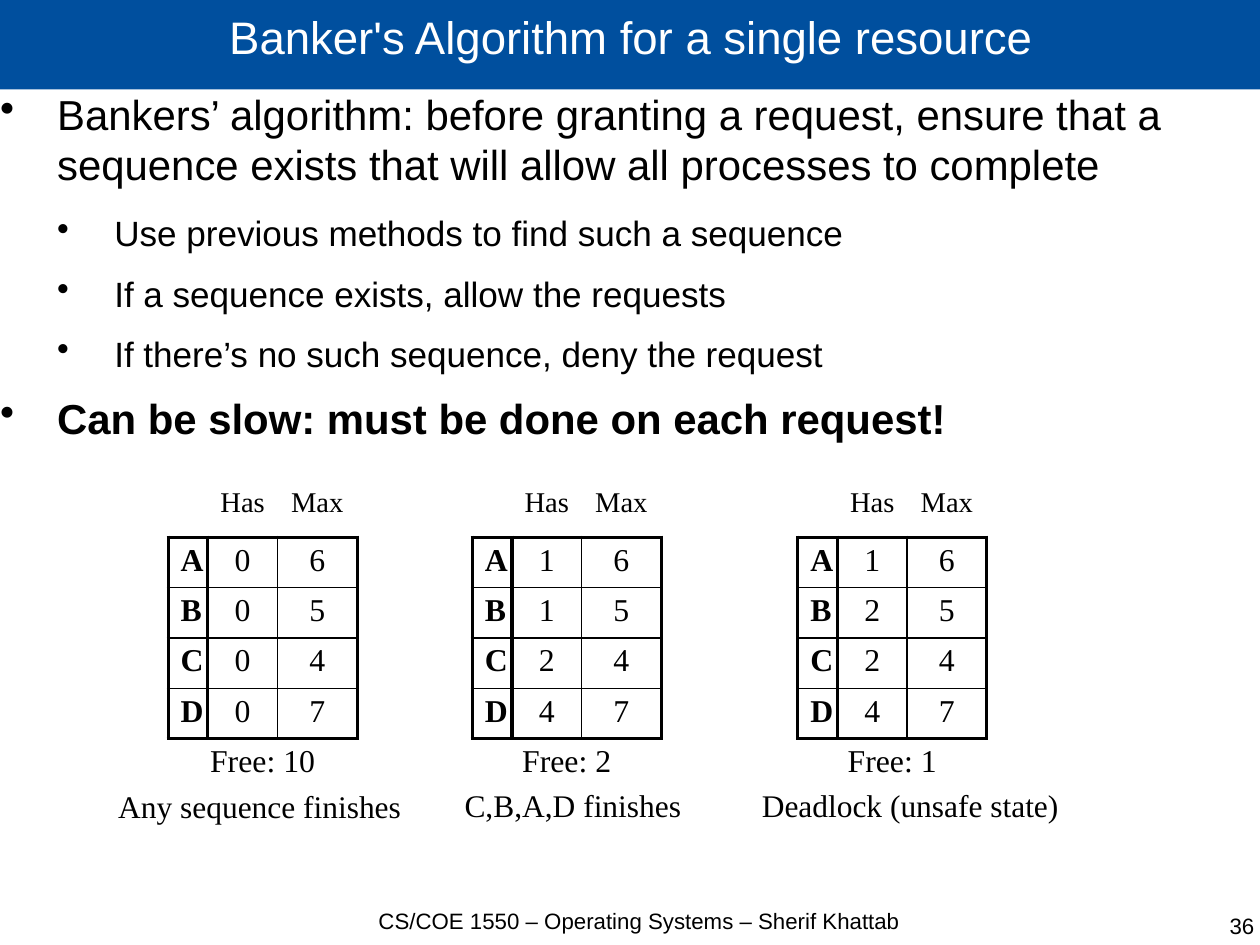
from dataclasses import dataclass

from lxml import etree
from pptx import Presentation
from pptx.dml.color import RGBColor
from pptx.enum.shapes import MSO_SHAPE
from pptx.enum.text import MSO_ANCHOR, MSO_AUTO_SIZE, PP_ALIGN
from pptx.oxml.ns import qn
from pptx.util import Cm, Inches, Pt

RECTANGLE = MSO_SHAPE.RECTANGLE
MIDDLE = MSO_ANCHOR.MIDDLE
FIT_SHAPE = MSO_AUTO_SIZE.SHAPE_TO_FIT_TEXT
LEFT, CENTER, RIGHT = PP_ALIGN.LEFT, PP_ALIGN.CENTER, PP_ALIGN.RIGHT

COLORS = {"banner": "004F9E", "title": "FFFFFF", "ink": "000000"}
SANS, SERIF = "Arial", "Times New Roman"
SLIDE_WIDTH, SLIDE_HEIGHT = Cm(28), Cm(21)

TABLE_TOP, ROW_HEIGHT = 51.51, 5.33
COLUMN_WIDTHS = (3.16, 5.52, 6.33)
THICK, THIN, NONE = 2.25, 1, 0
ROW_EDGES = (NONE, THICK, THIN, THIN, THIN, THICK, NONE)
COLUMN_EDGES = (THICK, THICK, THIN, THICK)
PROCESSES = ("A", "B", "C", "D")
MAX_NEEDS = (6, 5, 4, 7)


@dataclass
class Area:
    left: float
    top: float
    width: float
    height: float

    def emu(self) -> tuple[int, int, int, int]:
        return across(self.left), down(self.top), across(self.width), down(self.height)


@dataclass
class Bullet:
    text: str
    level: int = 0
    bold: bool = False


@dataclass
class BulletStyle:
    size: float
    space_after: float


@dataclass
class Footer:
    text: str
    area: Area
    align: PP_ALIGN


@dataclass
class State:
    left: float
    has: tuple[int, ...]
    free: int
    verdict: str
    verdict_area: Area


BULLETS = (
    Bullet("Bankers’ algorithm: before granting a request, ensure that a "
           "sequence exists that will allow all processes to complete"),
    Bullet("Use previous methods to find such a sequence", level=1),
    Bullet("If a sequence exists, allow the requests", level=1),
    Bullet("If there’s no such sequence, deny the request", level=1),
    Bullet("Can be slow: must be done on each request!", bold=True),
)
BULLET_STYLES = (BulletStyle(26.4, 14.2), BulletStyle(22.1, 11.4))
FOOTERS = (
    Footer("CS/COE 1550 – Operating Systems – Sherif Khattab",
           Area(27.86, 95.97, 45.74, 6.65), CENTER),
    Footer("36", Area(76.59, 96.57, 22.96, 6.65), RIGHT),
)
STATES = (
    State(13.34, (0, 0, 0, 0), 10, "Any sequence finishes", Area(8.35, 82.71, 24.5, 5.2)),
    State(37.48, (1, 1, 2, 4), 2, "C,B,A,D finishes", Area(35.84, 82.59, 19.24, 5.2)),
    State(63.31, (1, 2, 2, 4), 1, "Deadlock (unsafe state)", Area(59.44, 82.59, 25.59, 5.2)),
)


def across(percent: float) -> int:
    return round(SLIDE_WIDTH * percent / 100)


def down(percent: float) -> int:
    return round(SLIDE_HEIGHT * percent / 100)


def style(paragraph, size: float, font: str, align=CENTER, color="ink", bold=False) -> None:
    paragraph.alignment = align
    for run in paragraph.runs:
        run.font.size = Pt(size)
        run.font.name = font
        run.font.bold = bold
        run.font.color.rgb = RGBColor.from_string(COLORS[color])


def set_margins(owner, horizontal: float, vertical: float) -> None:
    owner.margin_left = owner.margin_right = Inches(horizontal)
    owner.margin_top = owner.margin_bottom = Inches(vertical)


def add_title(slide, text: str) -> None:
    banner = slide.shapes.add_shape(RECTANGLE, *Area(0, -0.24, 100.14, 9.7).emu())
    banner.shadow.inherit = False
    banner.fill.solid()
    banner.fill.fore_color.rgb = RGBColor.from_string(COLORS["banner"])
    banner.line.fill.background()
    frame = banner.text_frame
    frame.text = text
    frame.word_wrap = True
    frame.vertical_anchor = MIDDLE
    set_margins(frame, 0, 0)
    frame.paragraphs[0].line_spacing = 0.69
    style(frame.paragraphs[0], 28.7, SANS, color="title")


def add_bullets(slide, bullets: tuple[Bullet, ...]) -> None:
    frame = slide.shapes.add_textbox(*Area(0, 9.4, 100.14, 86.82).emu()).text_frame
    frame.word_wrap = True
    set_margins(frame, 0, 0)
    frame.text = "\n".join(bullet.text for bullet in bullets)
    for paragraph, bullet in zip(frame.paragraphs, bullets):
        look = BULLET_STYLES[bullet.level]
        paragraph.level = bullet.level
        paragraph.space_after = Pt(look.space_after)
        style(paragraph, look.size, SANS, LEFT, bold=bullet.bold)
        properties = paragraph._p.get_or_add_pPr()
        properties.set("marL", str(Inches(0.5 * (bullet.level + 1))))
        properties.set("indent", str(Inches(-0.5)))
        etree.SubElement(properties, qn("a:buChar"), char="•")


def add_footer(slide, footer: Footer) -> None:
    frame = slide.shapes.add_textbox(*footer.area.emu()).text_frame
    frame.word_wrap = True
    set_margins(frame, 0, 0)
    frame.text = footer.text
    style(frame.paragraphs[0], 14, SANS, footer.align)


def set_borders(cell, row: int, column: int) -> None:
    boxed = 0 < row <= len(PROCESSES)
    weights = {
        "a:lnL": COLUMN_EDGES[column] if boxed else NONE,
        "a:lnR": COLUMN_EDGES[column + 1] if boxed else NONE,
        "a:lnT": ROW_EDGES[row],
        "a:lnB": ROW_EDGES[row + 1],
    }
    properties = cell._tc.get_or_add_tcPr()
    for position, (tag, weight) in enumerate(weights.items()):
        edge = etree.Element(qn(tag), w=str(Pt(weight)))
        if weight:
            fill = etree.SubElement(edge, qn("a:solidFill"))
            etree.SubElement(fill, qn("a:srgbClr"), val=COLORS["ink"])
        else:
            etree.SubElement(edge, qn("a:noFill"))
        properties.insert(position, edge)


def add_state(slide, state: State) -> None:
    rows = [("", "Has", "Max"), *zip(PROCESSES, state.has, MAX_NEEDS),
            (f"Free: {state.free}", "", "")]
    area = Area(state.left, TABLE_TOP, sum(COLUMN_WIDTHS), ROW_HEIGHT * len(rows))
    table = slide.shapes.add_table(len(rows), len(COLUMN_WIDTHS), *area.emu()).table
    table.first_row = table.horz_banding = False
    for column, width in zip(table.columns, COLUMN_WIDTHS):
        column.width = across(width)
    for r, values in enumerate(rows):
        table.rows[r].height = down(ROW_HEIGHT)
        for c, value in enumerate(values):
            cell = table.cell(r, c)
            cell.text = str(value)
            cell.fill.background()
            set_margins(cell, *((0.11, 0.05) if r else (0, 0)))
            style(cell.text_frame.paragraphs[0], 20 if r else 18, SERIF,
                  bold=value in PROCESSES)
            set_borders(cell, r, c)
    last = len(rows) - 1
    table.cell(last, 0).merge(table.cell(last, len(COLUMN_WIDTHS) - 1))

    verdict = slide.shapes.add_textbox(*state.verdict_area.emu()).text_frame
    verdict.word_wrap = False
    verdict.auto_size = FIT_SHAPE
    verdict.text = state.verdict
    style(verdict.paragraphs[0], 19.8, SERIF)


def main() -> None:
    deck = Presentation()
    deck.slide_width, deck.slide_height = SLIDE_WIDTH, SLIDE_HEIGHT
    slide = deck.slides.add_slide(deck.slide_layouts[6])
    add_title(slide, "Banker's Algorithm for a single resource")
    add_bullets(slide, BULLETS)
    for footer in FOOTERS:
        add_footer(slide, footer)
    for state in STATES:
        add_state(slide, state)
    deck.save("out.pptx")


if __name__ == "__main__":
    main()
